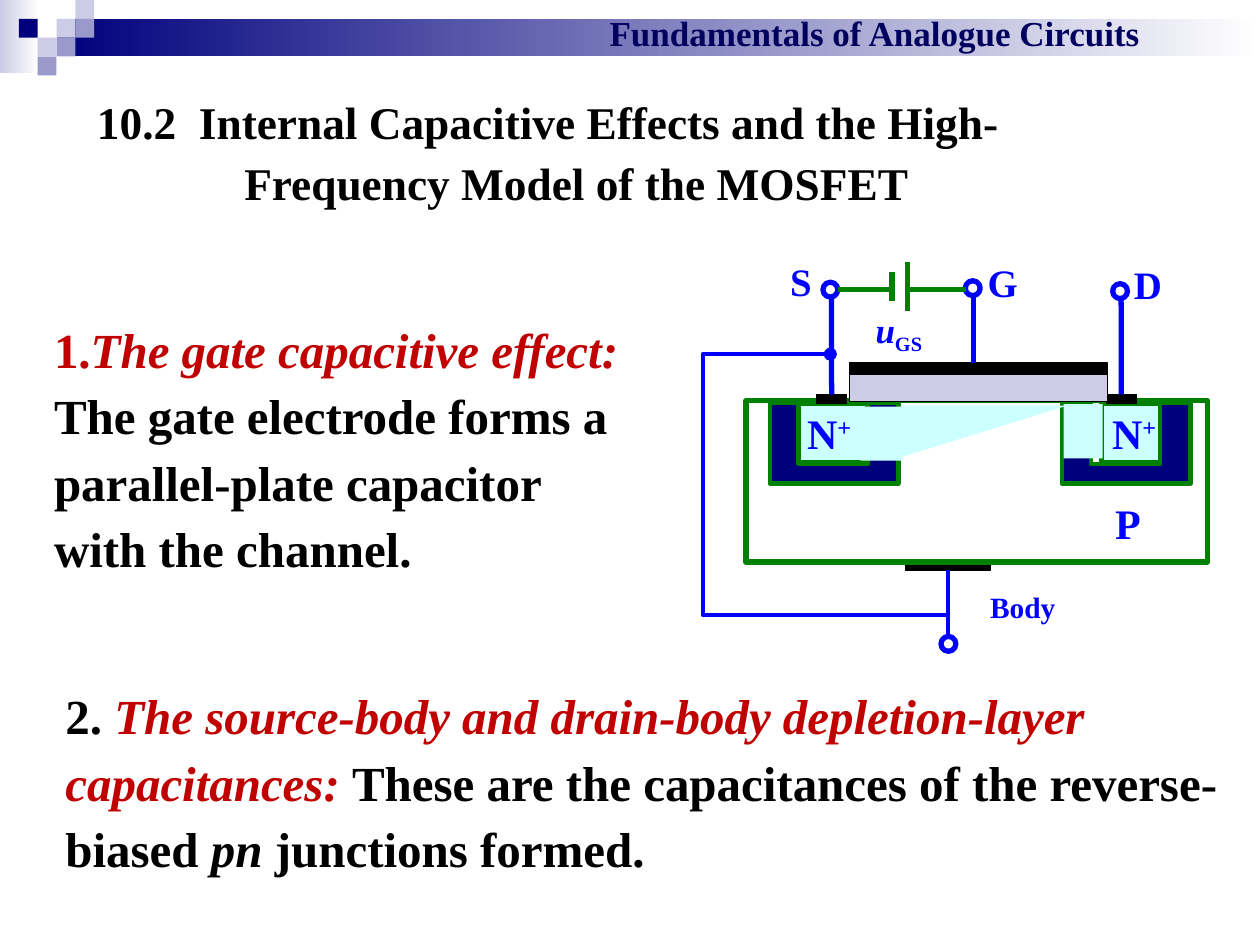
from lxml.etree import SubElement
from pptx import Presentation
from pptx.dml.color import RGBColor
from pptx.enum.shapes import MSO_CONNECTOR, MSO_SHAPE as Preset
from pptx.enum.text import MSO_ANCHOR, MSO_AUTO_SIZE, PP_ALIGN
from pptx.oxml.ns import qn
from pptx.util import Cm, Pt

COLORS = {
    "white": "FFFFFF", "black": "000000", "navy": "00007D", "header": "00005E",
    "lavender": "CCCCE6", "violet": "9999CC", "blue": "0000FF",
    "green": "008000", "cyan": "CCFFFF", "red": "C00000",
}
RGB = {name: RGBColor.from_string(value) for name, value in COLORS.items()}
FONT = "Times New Roman"

presentation = Presentation()
presentation.slide_width, presentation.slide_height = Cm(25.4), Cm(19.05)
slide = presentation.slides.add_slide(presentation.slide_layouts[5])
shapes = slide.shapes


def draw_shape(preset, left, top, width, height, fill, line=None, weight=0.75):
    shape = shapes.add_shape(preset, Cm(left), Cm(top), Cm(width), Cm(height))
    shape.shadow.inherit = False
    shape.fill.solid()
    shape.fill.fore_color.rgb = RGB[fill]
    if line:
        shape.line.color.rgb = RGB[line]
        shape.line.width = Pt(weight)
    else:
        shape.line.fill.background()
    return shape


def draw_line(x1, y1, x2, y2, color, weight=3):
    line = shapes.add_connector(MSO_CONNECTOR.STRAIGHT, Cm(x1), Cm(y1), Cm(x2), Cm(y2))
    line.line.color.rgb = RGB[color]
    line.line.width = Pt(weight)
    SubElement(line._element.spPr, qn("a:effectLst"))
    return line


# Header band with its mosaic of squares
for left, top, width, height, start in [
    (0, 0, 0.79, 1.47, "lavender"),
    (1.14, 0.38, 24.26, 0.76, "navy"),
]:
    band = draw_shape(Preset.RECTANGLE, left, top, width, height, start)
    band.fill.gradient()
    band.fill.gradient_angle = 0
    for stop, color, position in zip(band.fill.gradient_stops, (start, "white"), (0, 1)):
        stop.color.rgb = RGB[color]
        stop.position = position

SQUARE = 0.38
for column, row, color in [
    (3, 1, "lavender"), (4, 0, "lavender"), (4, 1, "violet"), (2, 2, "lavender"),
    (1, 1, "navy"), (3, 2, "violet"), (2, 3, "violet"),
]:
    draw_shape(Preset.RECTANGLE, column * SQUARE, row * SQUARE, SQUARE, SQUARE, color)

# Section title
title = shapes.title
title.left, title.top, title.width, title.height = Cm(1.7), Cm(1.9), Cm(21.95), Cm(2.74)
frame = title.text_frame
frame.text = "10.2  Internal Capacitive Effects and the High-\nFrequency Model of the MOSFET"
frame.auto_size = MSO_AUTO_SIZE.NONE
frame.vertical_anchor = MSO_ANCHOR.TOP
for paragraph in frame.paragraphs:
    paragraph.alignment = PP_ALIGN.LEFT
    paragraph.line_spacing = 0.9
    paragraph.space_before = Pt(7)
    paragraph.font.name = FONT
    paragraph.font.size = Pt(25.9)
    paragraph.font.bold = True
    paragraph.font.color.rgb = RGB["black"]
frame.paragraphs[1]._p.get_or_add_pPr().set("marL", str(Cm(2.97)))

# Body contact, substrate and doped regions
body_contact = draw_shape(Preset.RECTANGLE, 18.26, 11.3, 1.7, 0.2, "black", "black")
body_lead = draw_line(19.11, 11.5, 19.11, 13.06, "blue", 2.5)
body_lead.begin_connect(body_contact, 2)
draw_shape(Preset.RECTANGLE, 15.04, 8.08, 9.3, 3.25, "white", "green", 3)
doped_regions = [
    draw_shape(Preset.RECTANGLE, left, 8.13, 1.45, 1.19, "cyan", "green", 3)
    for left in (16.05, 22.2)
]

# Gate metal and the terminals
draw_shape(Preset.RECTANGLE, 17.12, 7.32, 5.21, 0.23, "black", "black")
for contact_left, circle_top in [(22.3, 5.72), (16.46, 5.69)]:
    contact = draw_shape(Preset.RECTANGLE, contact_left, 7.95, 0.61, 0.18, "black", "black")
    center = contact_left + 0.3
    draw_line(center, 5.94, center, 7.95, "blue").end_connect(contact, 0)
    draw_shape(Preset.OVAL, center - 0.17, circle_top, 0.3, 0.3, "white", "blue", 3)
draw_line(19.63, 5.94, 19.63, 7.32, "blue")
for left, top in [(19.46, 5.66), (18.97, 12.83)]:
    draw_shape(Preset.OVAL, left, top, 0.3, 0.3, "white", "blue", 3)

# Depletion layers around the doped regions
OUTLINE = [(0, 8.13), (0, 9.75), (2.59, 9.75), (2.59, 8.13),
           (1.98, 8.13), (1.98, 9.35), (0.58, 9.35), (0.58, 8.13)]
for left in (15.52, 21.41):
    points = [(Cm(left + x), Cm(y)) for x, y in OUTLINE]
    builder = shapes.build_freeform(*points[0], scale=1.0)
    builder.add_line_segments(points[1:], close=True)
    layer = builder.convert_to_shape()
    layer.shadow.inherit = False
    layer.fill.solid()
    layer.fill.fore_color.rgb = RGB["navy"]
    layer.line.color.rgb = RGB["green"]
    layer.line.width = Pt(2.5)

# Gate oxide
draw_shape(Preset.RECTANGLE, 17.12, 7.54, 5.21, 0.56, "lavender", "black")

# Wire from body to source, ending in a junction dot
builder = shapes.build_freeform(Cm(19.13), Cm(12.4), scale=1.0)
builder.add_line_segments(
    [(Cm(x), Cm(y)) for x, y in [(14.17, 12.4), (14.17, 7.14), (16.74, 7.14)]], close=False
)
wire = builder.convert_to_shape()
wire.shadow.inherit = False
wire.fill.background()
wire.line.color.rgb = RGB["blue"]
wire.line.width = Pt(2.5)
SubElement(wire.line._get_or_add_ln(), qn("a:tailEnd"), type="oval")

# Battery between source and gate
draw_line(16.89, 5.84, 19.48, 5.84, "green")
draw_shape(Preset.RECTANGLE, 17.93, 5.08, 0.41, 1.4, "white")
draw_line(17.98, 6.07, 17.98, 5.49, "green")
draw_line(18.29, 6.27, 18.29, 5.28, "green")

# Channel, tapering towards the drain
draw_shape(Preset.RECTANGLE, 21.44, 8.15, 0.79, 1.09, "cyan")
draw_shape(Preset.RECTANGLE, 17.35, 8.2, 0.86, 1.09, "cyan")
taper = draw_shape(Preset.RIGHT_TRIANGLE, 18.16, 8.18, 3.35, 1.04, "cyan")
taper._element.spPr.xfrm.set("flipV", "1")

# Texts: box, insets, size, line spacing, space before, runs (text, color, italic, baseline)
WIDE = (0.25, 0.13)
texts = [
    ((12.24, 0.2, 11.02, 0.91), (0.05, 0.03), 20, None, 5,
     [("Fundamentals of Analogue Circuits", "header", False, 0)]),
    ((17.4, 5.84, 1.8, 1.45), WIDE, 20, 1.25, 5,
     [("u", "blue", True, 0), ("GS", "blue", False, -25)]),
    ((0.84, 6.15, 12.24, 5.61), WIDE, 28, Pt(38), 0,
     [("1.", "red", False, 0),
      ("The gate capacitive effect: ", "red", True, 0),
      ("The gate electrode forms a parallel-plate capacitor with the channel.",
       "black", False, 0)]),
    ((1.07, 13.54, 24.21, 4.29), WIDE, 28, Pt(38), 0,
     [("2. ", "black", False, 0),
      ("The source-body and drain-body depletion-layer capacitances: ", "red", True, 0),
      ("These are the capacitances of the reverse-biased ", "black", False, 0),
      ("pn ", "black", True, 0),
      ("junctions formed.", "black", False, 0)]),
]
for label, box, size, spacing in [
    ("S", (15.93, 5.31, 0.6, 0.99), 22.2, 0.9),
    ("G", (19.91, 5.33, 1.19, 0.99), 22.2, 0.9),
    ("D", (22.86, 5.36, 0.6, 0.99), 22.2, 0.9),
    ("P", (22.48, 10.03, 0.61, 1.3), 24, None),
    ("Body", (19.96, 12.01, 3.4, 0.79), 16.8, 0.8),
]:
    texts.append((box, (0, 0), size, spacing, 0, [(label, "blue", False, 0)]))
for region in doped_regions:
    texts.append((region, (0.22, 0), 24, None, 0,
                  [("N", "blue", False, 0), ("+", "blue", False, 30)]))

for target, (inset_x, inset_y), size, spacing, before, runs in texts:
    if isinstance(target, tuple):
        target = shapes.add_textbox(*[Cm(length) for length in target])
    frame = target.text_frame
    frame.word_wrap = True
    frame.margin_left, frame.margin_top, frame.margin_bottom = Cm(inset_x), Cm(inset_y), Cm(inset_y)
    frame.margin_right = 0 if target in doped_regions else Cm(inset_x)
    paragraph = frame.paragraphs[0]
    paragraph.alignment = PP_ALIGN.LEFT
    paragraph.line_spacing = spacing
    paragraph.space_before = Pt(before)
    paragraph.font.name = FONT
    paragraph.font.size = Pt(size)
    paragraph.font.bold = True
    for text, color, italic, baseline in runs:
        run = paragraph.add_run()
        run.text = text
        run.font.color.rgb = RGB[color]
        if italic:
            run.font.italic = True
        if baseline:
            run.font._element.set("baseline", str(baseline * 1000))

presentation.save("out.pptx")
